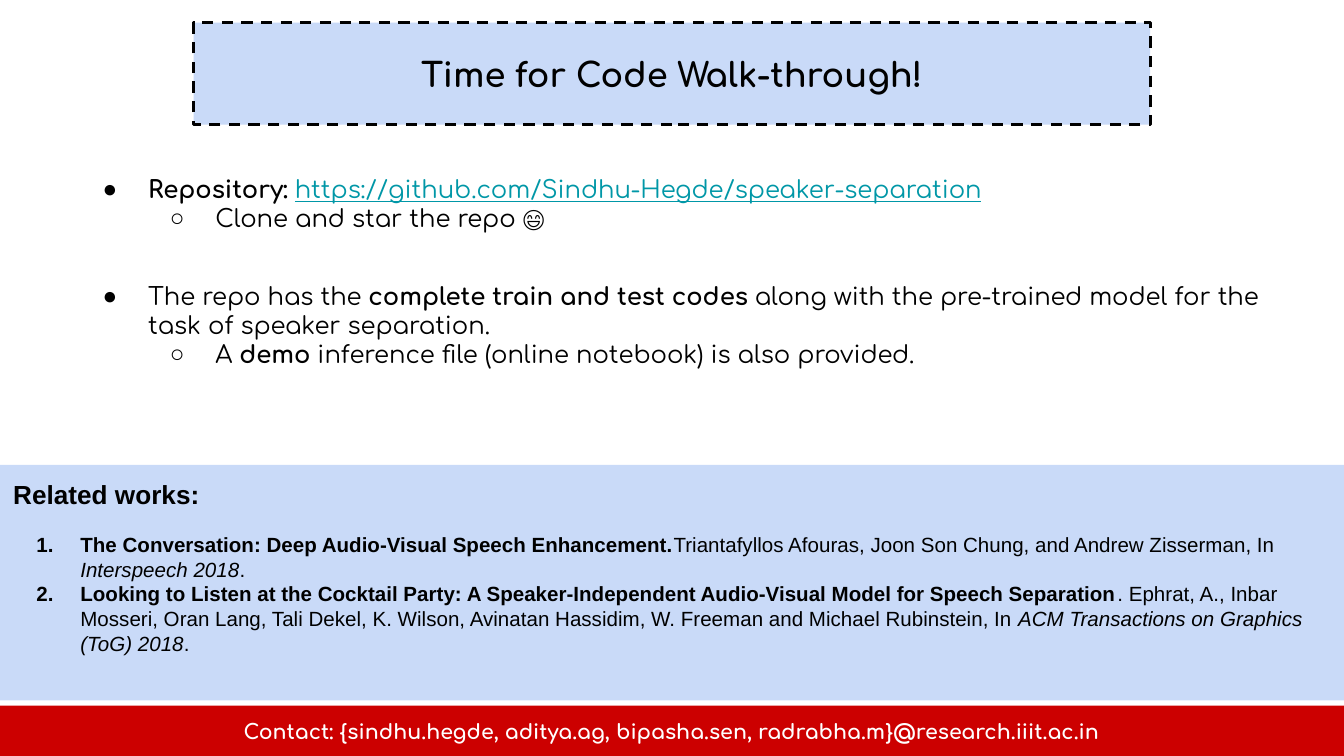
"""Build the code walk-through slide."""
import dataclasses
import typing

import lxml.etree
import pptx
import pptx.dml.color
import pptx.enum.dml
import pptx.enum.shapes
import pptx.enum.text
import pptx.oxml.ns
import pptx.util

Cm = pptx.util.Cm
Pt = pptx.util.Pt
Align = pptx.enum.text.PP_ALIGN
Anchor = pptx.enum.text.MSO_ANCHOR


@dataclasses.dataclass(frozen=True)
class Theme:
    black: str = "000000"
    white: str = "FFFFFF"
    pale: str = "C9DAF8"
    red: str = "CC0000"
    teal: str = "0097A7"
    round: str = "Comfortaa"
    plain: str = "Arial"
    title: int = 18
    head: int = 14
    body: int = 13
    small: int = 11


THEME = Theme()


class Run(typing.NamedTuple):
    text: str
    form: dict = {}
    color: str = THEME.black


class Para(typing.NamedTuple):
    runs: list[Run]
    size: int
    mark: str = ""
    level: int = 0
    hang: float = 0.86
    before: float = 0
    align: Align = Align.LEFT


@dataclasses.dataclass
class Box:
    place: tuple[float, float, float, float]
    paras: list[Para]
    font: str
    fill: str = ""
    dashed: bool = False
    anchor: Anchor = Anchor.TOP
    inset: tuple[float, float] = (0.25, 0.25)


BOLD = {"bold": True}
LINK = {"underline": True}
ITAL = {"italic": True}
WIDE = 25.4
TALL = 14.29

BOXES = [
    Box((3.66, 0.43, 18.08, 1.93),
        [Para([Run("Time for Code Walk-through!", BOLD)], THEME.title, align=Align.CENTER)],
        THEME.round, THEME.pale, True, Anchor.MIDDLE),
    Box((0, 13.34, WIDE, 0.95),
        [Para([Run("Contact: {sindhu.hegde, aditya.ag, bipasha.sen, radrabha.m}@research.iiit.ac.in",
                   BOLD, THEME.white)], THEME.small, align=Align.CENTER)],
        THEME.round, THEME.red, anchor=Anchor.MIDDLE),
    Box((1.35, 3.2, 22.68, 4.75), [
        Para([Run("Repository: ", BOLD),
              Run("https://github.com/Sindhu-Hegde/speaker-separation", LINK, THEME.teal)],
             THEME.body, "●"),
        Para([Run("Clone and star the repo 😄")], THEME.body, "○", 1),
        Para([Run("The repo has the "), Run("complete train and test codes", BOLD),
              Run(" along with the pre-trained model for the task of speaker separation.")],
             THEME.body, "●", before=26),
        Para([Run("A "), Run("demo", BOLD),
              Run(" inference file (online notebook) is also provided.")], THEME.body, "○", 1),
    ], THEME.round, inset=(0.18, 0.1)),
    Box((0, 8.79, WIDE, 4.45), [
        Para([Run("Related works:", BOLD)], THEME.head),
        Para([Run("The Conversation: Deep Audio-Visual Speech Enhancement.", BOLD),
              Run("Triantafyllos Afouras, Joon Son Chung, and Andrew Zisserman, In "),
              Run("Interspeech 2018", ITAL), Run(".")],
             THEME.small, "1.", hang=0.83, before=12),
        Para([Run("Looking to Listen at the Cocktail Party: A Speaker-Independent "
                  "Audio-Visual Model for Speech Separation", BOLD),
              Run(". Ephrat, A., Inbar Mosseri, Oran Lang, Tali Dekel, K. Wilson, "
                  "Avinatan Hassidim, W. Freeman and Michael Rubinstein, In"),
              Run(" ACM Transactions on Graphics (ToG) 2018", ITAL), Run(".")],
             THEME.small, "1.", hang=0.83),
    ], THEME.plain, THEME.pale),
]


def tint(code: str) -> pptx.dml.color.RGBColor:
    return pptx.dml.color.RGBColor.from_string(code)


def apply(thing: typing.Any, form: dict) -> None:
    for name, value in form.items():
        setattr(thing, name, value)


def add_mark(line: typing.Any, para: Para) -> None:
    props = line._p.get_or_add_pPr()
    props.set("marL", str(Cm(1.27 * (para.level + 1))))
    props.set("indent", str(-Cm(para.hang)))

    def add(root: typing.Any, tag: str, **form: str) -> typing.Any:
        return lxml.etree.SubElement(root, pptx.oxml.ns.qn(tag), **form)

    add(add(props, "a:buClr"), "a:srgbClr", val=THEME.black)
    add(props, "a:buFont", typeface=THEME.plain)
    if para.mark == "1.":
        add(props, "a:buAutoNum", type="arabicPeriod")
    else:
        add(props, "a:buChar", char=para.mark)


def write(line: typing.Any, para: Para, font: str) -> None:
    if para.mark:
        add_mark(line, para)
    apply(line, {"alignment": para.align, "level": para.level,
                 "space_before": Pt(para.before), "space_after": Pt(0)})
    for part in para.runs:
        run = line.add_run()
        run.text = part.text
        apply(run.font, {"name": font, "size": Pt(para.size), "bold": False, **part.form})
        run.font.color.rgb = tint(part.color)


def draw(slide: typing.Any, box: Box) -> None:
    place = [Cm(n) for n in box.place]
    if box.fill:
        shape = slide.shapes.add_shape(pptx.enum.shapes.MSO_SHAPE.RECTANGLE, *place)
        shape.shadow.inherit = False
        shape.fill.solid()
        shape.fill.fore_color.rgb = tint(box.fill)
        shape.line.fill.background()
    else:
        shape = slide.shapes.add_textbox(*place)
    if box.dashed:
        shape.line.color.rgb = tint(THEME.black)
        apply(shape.line, {"width": Pt(1.5), "dash_style": pptx.enum.dml.MSO_LINE.DASH})
    frame = shape.text_frame
    side, edge = (Cm(n) for n in box.inset)
    apply(frame, {"word_wrap": True, "vertical_anchor": box.anchor,
                  "margin_left": side, "margin_right": side,
                  "margin_top": edge, "margin_bottom": edge})
    for spot, para in enumerate(box.paras):
        write(frame.add_paragraph() if spot else frame.paragraphs[0], para, box.font)


def main() -> None:
    deck = pptx.Presentation()
    apply(deck, {"slide_width": Cm(WIDE), "slide_height": Cm(TALL)})
    slide = deck.slides.add_slide(deck.slide_layouts[6])
    for box in BOXES:
        draw(slide, box)
    deck.save("out.pptx")


if __name__ == "__main__":
    main()
